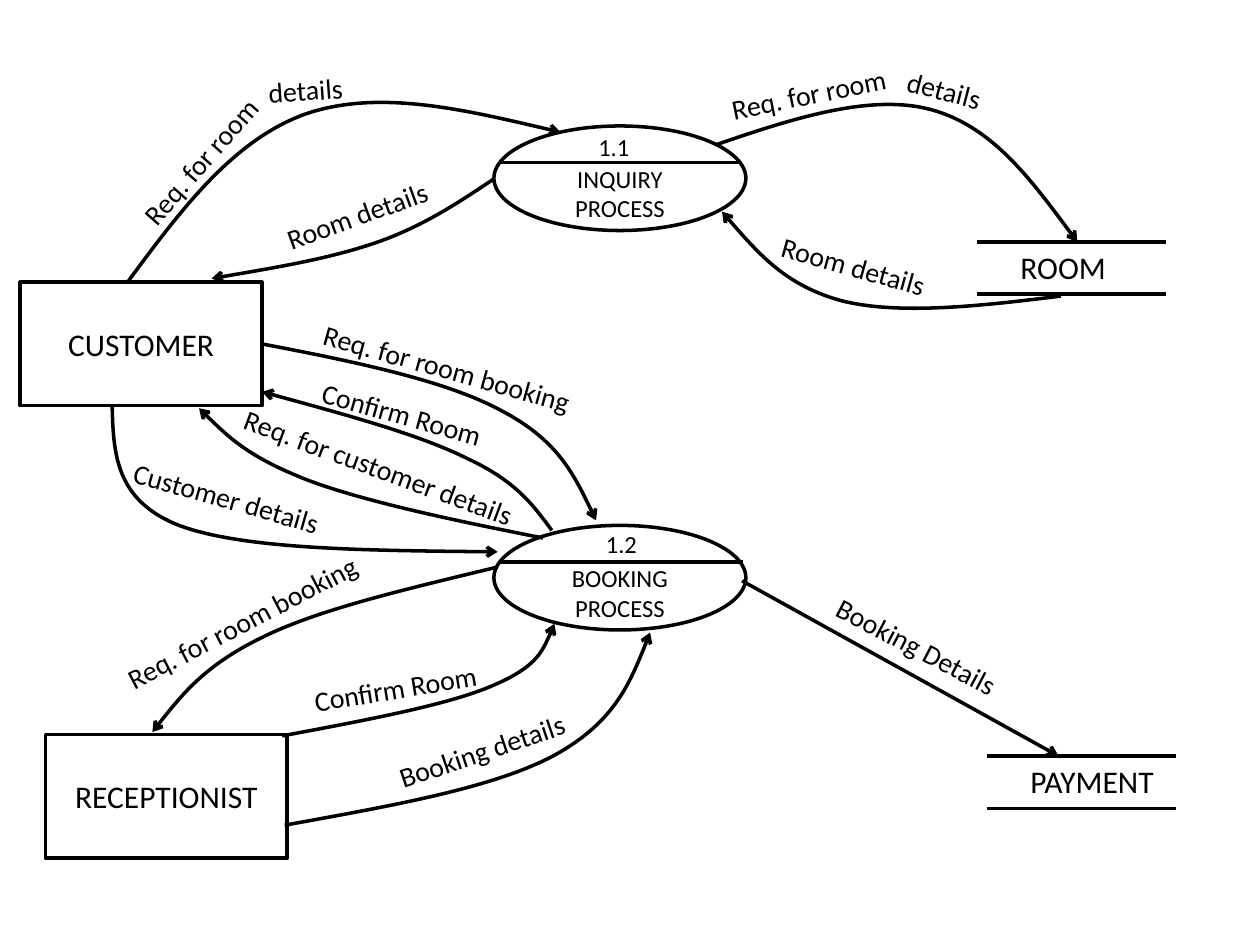
"""Draw the data flow diagram of a room booking system."""
from dataclasses import dataclass

from lxml import etree
from pptx import Presentation
from pptx import util as u
from pptx.dml.color import RGBColor
from pptx.enum import shapes, text
from pptx.oxml.ns import qn

BLACK = RGBColor(0, 0, 0)
WHITE = RGBColor(255, 255, 255)
LABEL_HEIGHT = {14: 0.34, 16: 0.37, 18: 0.4}
Point = tuple[float, float]


@dataclass
class Node:
    kind: shapes.MSO_SHAPE
    left: float
    top: float
    width: float
    height: float
    lines: tuple[str, ...]
    size: int
    head_room: float = 0.05


@dataclass
class Line:
    start: Point
    end: Point
    arrow: bool = False


@dataclass
class Label:
    words: str
    left: float
    top: float
    width: float
    turn: float = 0
    size: int = 16


def process(top: float, name: str) -> Node:
    return Node(shapes.MSO_SHAPE.OVAL, 3.92, top, 2, 0.83, (name, "PROCESS"), 14, 0.29)


def entity(left: float, top: float, name: str) -> Node:
    return Node(shapes.MSO_SHAPE.RECTANGLE, left, top, 1.92, 0.98, (name,), 18)


def store(left: float, top: float) -> list[Line]:
    return [Line((left, y), (left + 1.5, y)) for y in (top, top + 0.415)]


NODES = [
    process(1, "INQUIRY"),
    process(4.17, "BOOKING"),
    entity(0.16, 2.24, "CUSTOMER"),
    entity(0.36, 5.83, "RECEPTIONIST"),
]
LINES = [
    Line((3.96, 1.29), (5.88, 1.29)),
    Line((3.97, 4.46), (5.9, 4.46)),
    *store(7.75, 1.92),
    *store(7.83, 6),
    Line((5.89, 4.61), (8.4, 6), arrow=True),
]
FLOWS: list[list[Point]] = [
    [(1.02, 2.23), (1.44, 1.66), (1.86, 1.1), (2.44, 0.9), (3.01, 0.71), (3.73, 0.88), (4.45, 1.05)],
    [(3.92, 1.42), (3.65, 1.6), (3.37, 1.79), (3, 1.92), (2.63, 2.05), (2.15, 2.13), (1.68, 2.21)],
    [(5.68, 1.15), (6.29, 0.94), (6.91, 0.74), (7.39, 0.87), (7.87, 1), (8.21, 1.46), (8.55, 1.92)],
    [(8.42, 2.35), (7.78, 2.43), (7.14, 2.5), (6.69, 2.39), (6.24, 2.27), (5.99, 1.98), (5.73, 1.68)],
    [(2.08, 2.73), (2.81, 2.87), (3.54, 3.02), (3.98, 3.26), (4.42, 3.49), (4.58, 3.81), (4.73, 4.13)],
    [(3.95, 4.5), (3.25, 4.67), (2.55, 4.83), (2.1, 5.05), (1.64, 5.27), (1.42, 5.54), (1.21, 5.81)],
    [(4.31, 4.27), (3.6, 4.13), (2.89, 3.98), (2.44, 3.81), (1.98, 3.63), (1.78, 3.44), (1.58, 3.24)],
    [(2.24, 5.84), (2.88, 5.72), (3.53, 5.6), (3.89, 5.45), (4.25, 5.3), (4.33, 5.13), (4.4, 4.95)],
    [(2.26, 6.55), (3.08, 6.4), (3.9, 6.26), (4.39, 6), (4.87, 5.74), (5.02, 5.38), (5.16, 5.02)],
    [(0.89, 3.21), (0.9, 3.59), (0.91, 3.97), (1.42, 4.17), (1.93, 4.36), (2.94, 4.37), (3.95, 4.38)],
    [(4.38, 4.21), (4.24, 4.02), (4.1, 3.82), (3.71, 3.64), (3.33, 3.45), (2.7, 3.28), (2.08, 3.11)],
]
LABELS = [
    Label("1.1", 4.65, 1, 0.45, size=14),
    Label("1.2", 4.71, 4.15, 0.45, size=14),
    Label("ROOM", 8, 1.92, 0.88, size=18),
    Label("PAYMENT", 8.08, 6, 1.19, size=18),
    Label("Req. for room ", 0.86, 1.07, 1.51, 311.4),
    Label("details", 2.03, 0.53, 0.8, 356),
    Label("Room details", 2.15, 1.52, 1.39, 339.9),
    Label("Req. for room", 5.7, 0.56, 1.46, 348.7),
    Label("details", 7.1, 0.53, 0.8, 14.5),
    Label("Room details", 6.09, 1.93, 1.39, 15.6),
    Label("Req. for room booking ", 2.44, 2.75, 2.3, 15.5),
    Label("Req. for customer details ", 1.78, 3.54, 2.53, 20.2),
    Label("Customer details", 0.94, 3.77, 1.73, 16),
    Label("Confirm Room ", 2.44, 3.11, 1.57, 15.5),
    Label("Req. for room booking ", 0.81, 4.73, 2.3, 332.5),
    Label("Confirm Room ", 2.39, 5.27, 1.57, 350.6),
    Label("Booking details", 3.04, 5.77, 1.59, 341.3),
    Label("Booking Details", 6.48, 4.95, 1.61, 27.5),
]


def length(inches: float) -> u.Length:
    return u.Cm(inches * 2.54)


def assign(target, values: dict) -> None:
    for name, value in values.items():
        setattr(target, name, value)


def stroke(shape, arrow: bool = False) -> None:
    shape.line.color.rgb = BLACK
    shape.line.width = u.Pt(2)
    if arrow:
        etree.SubElement(shape.line._get_or_add_ln(), qn("a:tailEnd"), type="arrow")


def write(para, words: str, size: int) -> None:
    span = para.add_run()
    span.text = words
    assign(span.font, {"name": "Calibri", "size": u.Pt(size)})
    span.font.color.rgb = BLACK


def draw_node(page, node: Node) -> None:
    box = page.shapes.add_shape(
        node.kind, *map(length, (node.left, node.top, node.width, node.height)))
    box.shadow.inherit = False
    box.fill.solid()
    box.fill.fore_color.rgb = WHITE
    stroke(box)
    frame = box.text_frame
    assign(frame, {"vertical_anchor": text.MSO_ANCHOR.MIDDLE, "word_wrap": True,
                   "margin_top": length(node.head_room)})
    for index, words in enumerate(node.lines):
        para = frame.add_paragraph() if index else frame.paragraphs[0]
        para.alignment = text.PP_ALIGN.CENTER
        write(para, words, node.size)


def draw_line(page, line: Line) -> None:
    connector = page.shapes.add_connector(
        shapes.MSO_CONNECTOR.STRAIGHT, *map(length, line.start + line.end))
    stroke(connector, line.arrow)
    etree.SubElement(connector._element.spPr, qn("a:effectLst"))


def on_curve(curve: list[Point], t: float) -> Point:
    weights = ((1 - t) ** 3, 3 * t * (1 - t) ** 2, 3 * t * t * (1 - t), t ** 3)
    x, y = (sum(w * p[axis] for w, p in zip(weights, curve)) for axis in (0, 1))
    return x, y


def draw_flow(page, points: list[Point]) -> None:
    """Size a freeform by points on its curves, then give it true Bezier segments."""
    curves = [points[i:i + 4] for i in range(0, len(points) - 1, 3)]
    outline = [on_curve(curve, step / 20) for curve in curves for step in range(1, 21)]
    builder = page.shapes.build_freeform(*map(length, points[0]))
    builder.add_line_segments([tuple(map(length, p)) for p in outline], close=False)
    flow = builder.convert_to_shape()
    track = next(flow._element.iter(qn("a:path")))
    for segment in track.findall(qn("a:lnTo")):
        track.remove(segment)
    for curve in curves:
        bend = etree.SubElement(track, qn("a:cubicBezTo"))
        for x, y in curve[1:]:
            etree.SubElement(bend, qn("a:pt"), x=str(length(x) - flow.left),
                             y=str(length(y) - flow.top))
    flow.shadow.inherit = False
    flow.fill.background()
    stroke(flow, arrow=True)


def draw_label(page, label: Label) -> None:
    box = page.shapes.add_textbox(
        *map(length, (label.left, label.top, label.width, LABEL_HEIGHT[label.size])))
    box.rotation = label.turn
    assign(box.text_frame, {"word_wrap": False,
                            "auto_size": text.MSO_AUTO_SIZE.SHAPE_TO_FIT_TEXT})
    write(box.text_frame.paragraphs[0], label.words, label.size)


deck = Presentation()
assign(deck, {"slide_width": length(10), "slide_height": length(7.5)})
page = deck.slides.add_slide(deck.slide_layouts[6])
for draw, items in ((draw_node, NODES), (draw_line, LINES),
                    (draw_flow, FLOWS), (draw_label, LABELS)):
    for item in items:
        draw(page, item)
deck.save("out.pptx")
